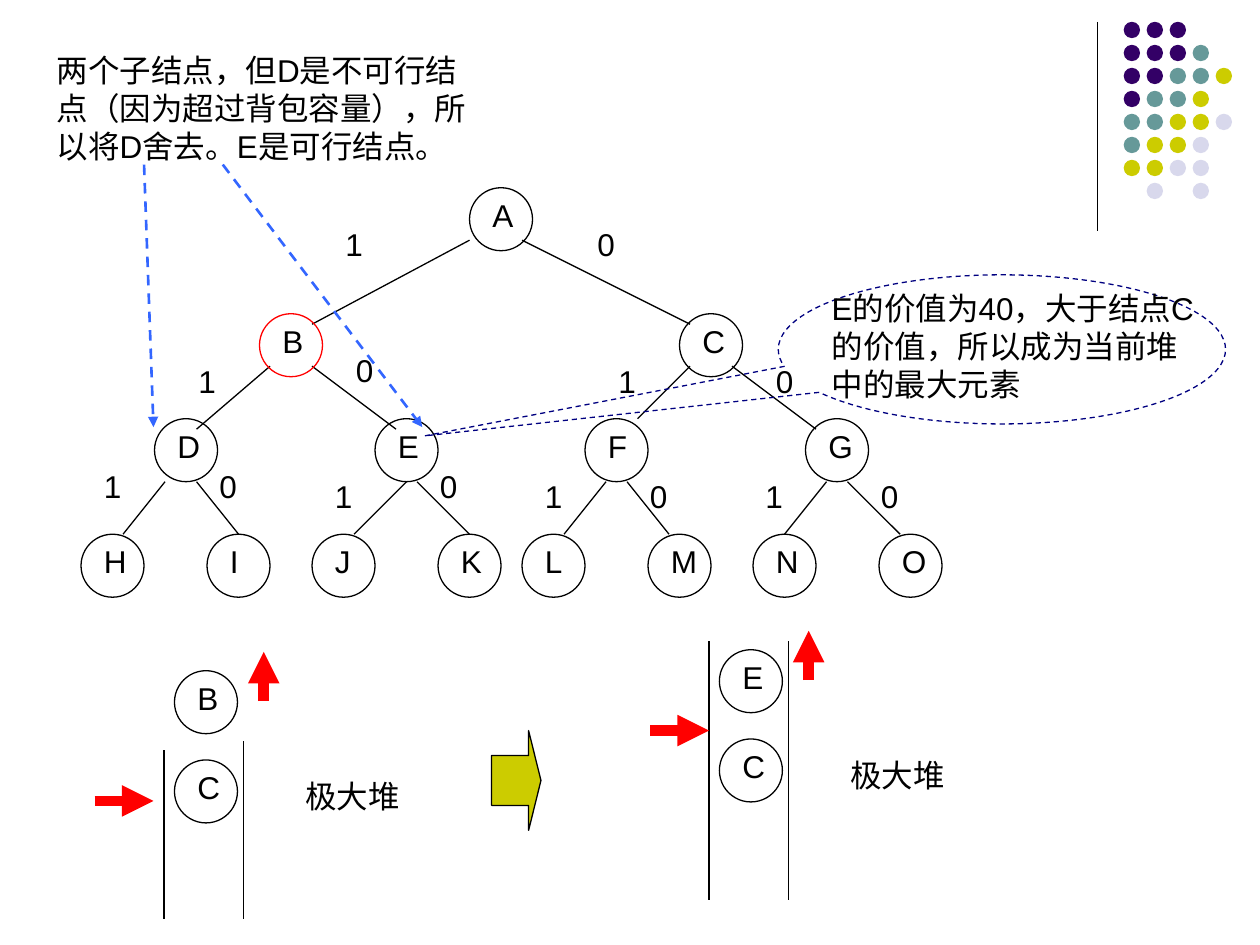
from lxml.etree import SubElement
from pptx import Presentation
from pptx.dml.color import RGBColor
from pptx.enum.dml import MSO_LINE_DASH_STYLE as Dash
from pptx.enum.shapes import MSO_CONNECTOR as Connector, MSO_SHAPE as Shape
from pptx.enum.text import PP_ALIGN as Align
from pptx.oxml.ns import qn
from pptx.util import Inches, Pt

deck = Presentation()
deck.slide_width, deck.slide_height = Inches(10), Inches(7.5)
page = deck.slides.add_slide(deck.slide_layouts[6])
colour = RGBColor.from_string

# Grid of 120 columns by 90 rows, moved slightly off the slide's corner
CELL = deck.slide_width // 120
LEFT, TOP = Inches(0.06), Inches(-0.01)
NODE = 6
BLACK, RED = "000000", "FF0000"


def add_line(start, end, ink=BLACK, weight=0.75, dash=None, arrow=False):
    (col1, row1), (col2, row2) = start, end
    line = page.shapes.add_connector(
        Connector.STRAIGHT,
        int(LEFT + col1 * CELL), int(TOP + row1 * CELL),
        int(LEFT + col2 * CELL), int(TOP + row2 * CELL))
    line.line.color.rgb = colour(ink)
    line.line.width = Pt(weight)
    if dash:
        line.line.dash_style = dash
    if arrow:
        SubElement(line.line._get_or_add_ln(), qn("a:tailEnd"), type="triangle")
    SubElement(line._element.spPr, qn("a:effectLst"))


def add_text(words, col, row, width=5, height=4.8, align=Align.LEFT):
    box = page.shapes.add_textbox(
        int(LEFT + col * CELL), int(TOP + row * CELL),
        int(width * CELL), int(height * CELL))
    box.text_frame.word_wrap = True
    para = box.text_frame.paragraphs[0]
    para.text = words
    para.alignment = align
    for span in para.runs:
        span.font.name = "Arial"
        span.font.size = Pt(18)
        span.font.color.rgb = colour(BLACK)


# Corner ornament: divider and dot pattern
add_line((103.8, 2.2), (103.8, 22.1))
DOT_INK = {"P": "330066", "T": "669999", "Y": "CCCC00", "L": "D8D8EC"}
DOT_ROWS = ["PPP", "PPPT", "PPTTY", "PTTY", "TTYYL", "TYYL", "YYLL", ".L.L"]
# Each shape: kind, column, row, width, height, fill, line
shapes = [(Shape.OVAL, 106.3 + 2.19 * i, 2.2 + 2.19 * j, 1.56, 1.56, DOT_INK[key], None)
          for j, keys in enumerate(DOT_ROWS)
          for i, key in enumerate(keys) if key in DOT_INK]

# Tree nodes, level by level
levels = {
    18: {"A": 44},
    30: {"B": 24, "C": 64},
    40: {"D": 14, "E": 35, "F": 55, "G": 76},
    51: {"H": 7, "I": 19, "J": 29, "K": 41, "L": 49, "M": 61, "N": 71, "O": 83},
}
nodes = [(name, col, row) for row, level in levels.items() for name, col in level.items()]

# Tree branches
branches = [
    ((44, 23), (29, 31)), ((49, 23), (65, 31)),
    ((25, 35), (18, 41)), ((29, 35), (37, 41)),
    ((65, 35), (60, 40)), ((69, 35), (77, 41)),
    ((15, 46), (11, 51)), ((18, 46), (22, 51)),
    ((38, 46), (33, 51)), ((39, 46), (44, 51)),
    ((57, 46), (53, 51)), ((59, 46), (63, 51)),
    ((78, 46), (74, 51)), ((80, 46), (85, 51)),
]
for start, end in branches:
    add_line(start, end)

# Branch labels
branch_labels = {
    "1": [(31, 21), (17, 34), (57, 34), (8, 44), (30, 45), (50, 45), (71, 45)],
    "0": [(55, 21), (32, 33), (72, 34), (19, 44), (40, 44), (60, 45), (82, 45)],
}
for digit, places in branch_labels.items():
    for col, row in places:
        add_text(digit, col, row)

# Heaps: origin, held nodes, wall tops, wall bottom, side arrow's tip
heaps = [
    ((14.9, 62.2), "BC", (9.4, 8.5), 25.4, (-1, 14.2)),
    ((66.8, 60.2), "EC", (1, 1), 25.6, (0, 9.5)),
]
for (col, row), names, wall_tops, bottom, (tip_col, tip_row) in heaps:
    for wall, top in zip((0, 7.6), wall_tops):
        add_line((col + wall, row + top), (col + wall, row + bottom))
    nodes += [(name, col + 1, row + 1.8 + 8.5 * i) for i, name in enumerate(names)]
    tip = (col + tip_col, row + tip_row)
    add_line((tip[0] - 5.6, tip[1]), tip, RED, 6, arrow=True)
    add_line((col + 9.5, row + 4.7), (col + 9.5, row), RED, 6, arrow=True)
    add_text("极大堆", col + 10.4, row + 11.3, 15.1, align=Align.CENTER)

# Node circles, step arrow and callout
shapes += [(Shape.OVAL, col, row, NODE, NODE, None, RED if (name, row) == ("B", 30) else BLACK)
           for name, col, row in nodes]
shapes += [
    (Shape.RIGHT_ARROW, 46.1, 69.7, 4.7, 9.5, "CCCC00", BLACK),
    (Shape.OVAL_CALLOUT, 73.4, 26.3, 42.6, 14.2, None, "000080"),
]
for kind, col, row, width, height, fill, ink in shapes:
    shape = page.shapes.add_shape(
        kind, int(LEFT + col * CELL), int(TOP + row * CELL),
        int(width * CELL), int(height * CELL))
    shape.shadow.inherit = False
    if fill:
        shape.fill.solid()
        shape.fill.fore_color.rgb = colour(fill)
    else:
        shape.fill.background()
    if ink:
        shape.line.color.rgb = colour(ink)
        shape.line.width = Pt(0.75)
    else:
        shape.line.fill.background()
    if kind == Shape.RIGHT_ARROW:
        shape.adjustments[0], shape.adjustments[1] = 0.5, 0.25
    elif kind == Shape.OVAL_CALLOUT:
        shape.adjustments[0], shape.adjustments[1] = -1.29, 0.58
        shape.line.dash_style = Dash.DASH

for name, col, row in nodes:
    add_text(name, col + 1, row + 0.2)

# Explanations
for start, end in [((13, 15.8), (13.9, 40.8)), ((20.5, 15.8), (39.5, 40.8))]:
    add_line(start, end, "3366FF", 1.5, Dash.DASH, arrow=True)
add_text("两个子结点，但D是不可行结点（因为超过背包容量），所以将D舍去。E是可行结点。",
         3.5, 4.4, 43.3, 12)
add_text("E的价值为40，大于结点C的价值，所以成为当前堆中的最大元素", 77.3, 27.1, 37.8, 12)

deck.save("out.pptx")
